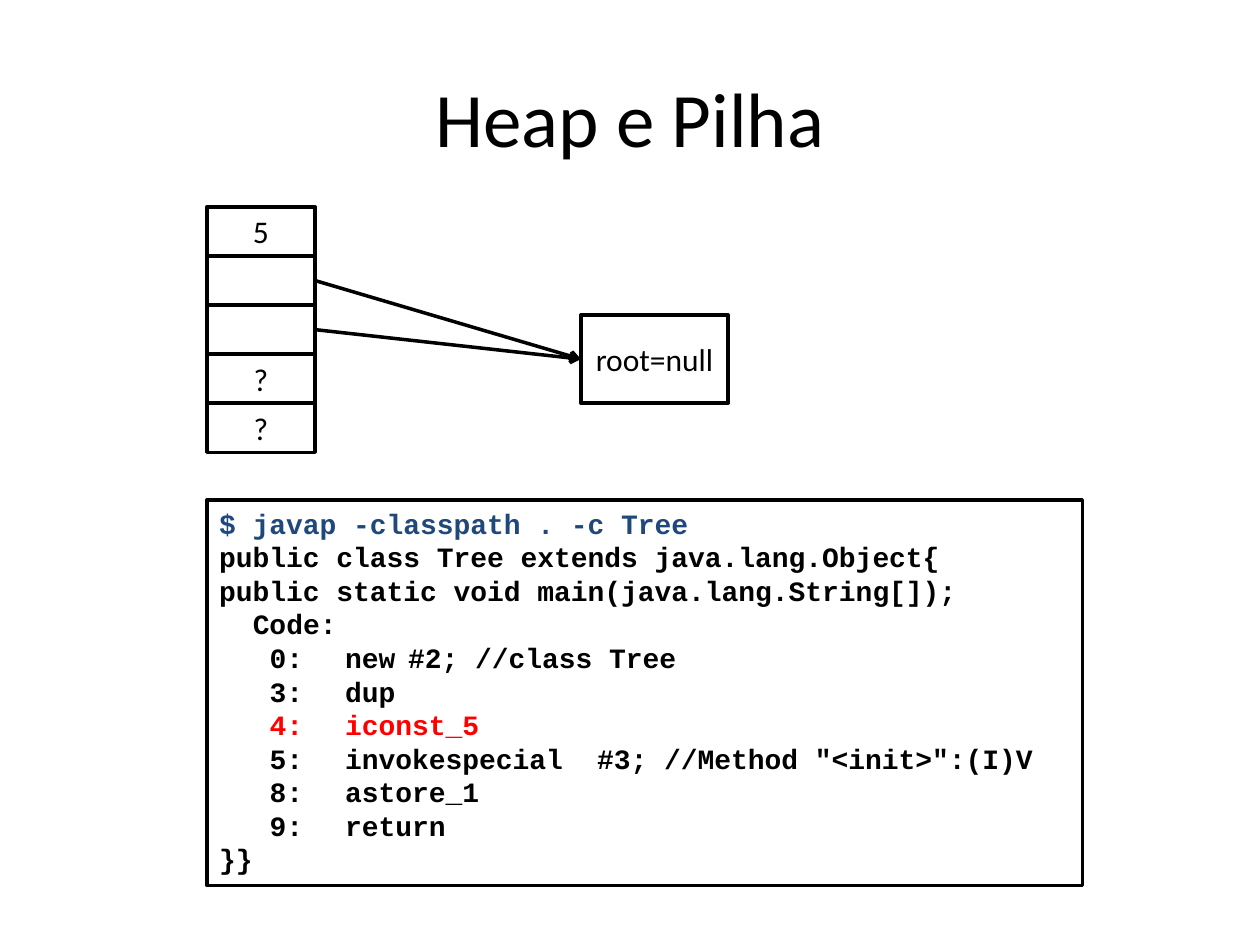
from dataclasses import dataclass

from lxml.etree import SubElement
from pptx import Presentation
from pptx.dml.color import RGBColor
from pptx.enum.shapes import MSO_CONNECTOR, MSO_SHAPE
from pptx.enum.text import MSO_ANCHOR, PP_ALIGN
from pptx.oxml.ns import qn
from pptx.util import Cm, Pt


@dataclass(frozen=True)
class Theme:
    ink: RGBColor = RGBColor(0x00, 0x00, 0x00)
    paper: RGBColor = RGBColor(0xFF, 0xFF, 0xFF)
    command: RGBColor = RGBColor(0x1F, 0x49, 0x7D)
    current: RGBColor = RGBColor(0xFF, 0x00, 0x00)
    body_font: str = "Calibri"
    code_font: str = "Courier New"
    title_size: Pt = Pt(44)
    label_size: Pt = Pt(18)
    code_size: Pt = Pt(16)
    border: Pt = Pt(2)


THEME = Theme()
CODE_CHAR = Pt(9.6)
CODE_STOPS = (8, 16, 24)
STACK_LEFT, STACK_TOP = 4.17, 4.17
CELL_WIDTH, CELL_HEIGHT = 2.18, 0.99
STACK_VALUES = ("5", "", "", "?", "?")
REFERENCE_CELLS = (1, 2)
LISTING = (
    (0, "$ javap -classpath . -c Tree", THEME.command),
    (0, "public class Tree extends java.lang.Object{", THEME.ink),
    (0, "public static void main(java.lang.String[]);", THEME.ink),
    (2, "Code:", THEME.ink),
    (3, "0:\tnew\t#2; //class Tree", THEME.ink),
    (3, "3:\tdup", THEME.ink),
    (3, "4:\ticonst_5", THEME.current),
    (3, '5:\tinvokespecial\t#3; //Method "<init>":(I)V', THEME.ink),
    (3, "8:\tastore_1", THEME.ink),
    (3, "9:\treturn", THEME.ink),
    (0, "}}", THEME.ink),
)


def apply_format(target, values):
    for name, value in values.items():
        setattr(target, name, value)


def write(paragraph, text, color=THEME.ink, **font_values):
    run = paragraph.add_run()
    run.text = text
    apply_format(run.font, font_values)
    run.font.color.rgb = color


def write_centered(frame, text, size):
    apply_format(frame, {"word_wrap": True, "vertical_anchor": MSO_ANCHOR.MIDDLE})
    paragraph = frame.paragraphs[0]
    paragraph.alignment = PP_ALIGN.CENTER
    write(paragraph, text, name=THEME.body_font, size=size)


def add_title(slide, text):
    title = slide.shapes.add_textbox(Cm(1.27), Cm(0.76), Cm(22.86), Cm(3.18))
    write_centered(title.text_frame, text, THEME.title_size)


def add_box(slide, left, top, width, height, label=""):
    box = slide.shapes.add_shape(
        MSO_SHAPE.RECTANGLE, Cm(left), Cm(top), Cm(width), Cm(height)
    )
    box.shadow.inherit = False
    box.fill.solid()
    box.fill.fore_color.rgb = THEME.paper
    box.line.color.rgb = THEME.ink
    box.line.width = THEME.border
    if label:
        write_centered(box.text_frame, label, THEME.label_size)
    return box


def add_stack(slide):
    return [
        add_box(slide, STACK_LEFT, STACK_TOP + row * CELL_HEIGHT,
                CELL_WIDTH, CELL_HEIGHT, value)
        for row, value in enumerate(STACK_VALUES)
    ]


def add_reference(slide, cell, heap_object):
    reference = slide.shapes.add_connector(MSO_CONNECTOR.STRAIGHT, 0, 0, 0, 0)
    reference.begin_connect(cell, 3)
    reference.end_connect(heap_object, 1)
    reference.line.color.rgb = THEME.ink
    reference.line.width = THEME.border
    SubElement(reference.line._get_or_add_ln(), qn("a:tailEnd"), type="arrow")
    SubElement(reference._element.spPr, qn("a:effectLst"))


def set_columns(paragraph, indent):
    properties = paragraph._p.get_or_add_pPr()
    properties.set("marL", "0")
    properties.set("indent", str(indent * CODE_CHAR))
    stops = SubElement(properties, qn("a:tabLst"))
    for column in CODE_STOPS:
        SubElement(stops, qn("a:tab"), pos=str(column * CODE_CHAR), algn="l")


def add_listing(slide):
    frame = add_box(slide, STACK_LEFT, 10.08, 17.65, 7.77).text_frame
    apply_format(frame, {"word_wrap": True, "vertical_anchor": MSO_ANCHOR.TOP})
    for number, (indent, code, color) in enumerate(LISTING):
        paragraph = frame.add_paragraph() if number else frame.paragraphs[0]
        paragraph.alignment = PP_ALIGN.LEFT
        set_columns(paragraph, indent)
        write(paragraph, code, color, name=THEME.code_font,
              size=THEME.code_size, bold=True)


def main():
    presentation = Presentation()
    apply_format(presentation, {"slide_width": Cm(25.4), "slide_height": Cm(19.05)})
    slide = presentation.slides.add_slide(presentation.slide_layouts[6])
    add_title(slide, "Heap e Pilha")
    tree = add_box(slide, 11.71, 6.35, 2.97, 1.78, "root=null")
    add_listing(slide)
    stack = add_stack(slide)
    for row in REFERENCE_CELLS:
        add_reference(slide, stack[row], tree)
    presentation.save("out.pptx")


if __name__ == "__main__":
    main()
